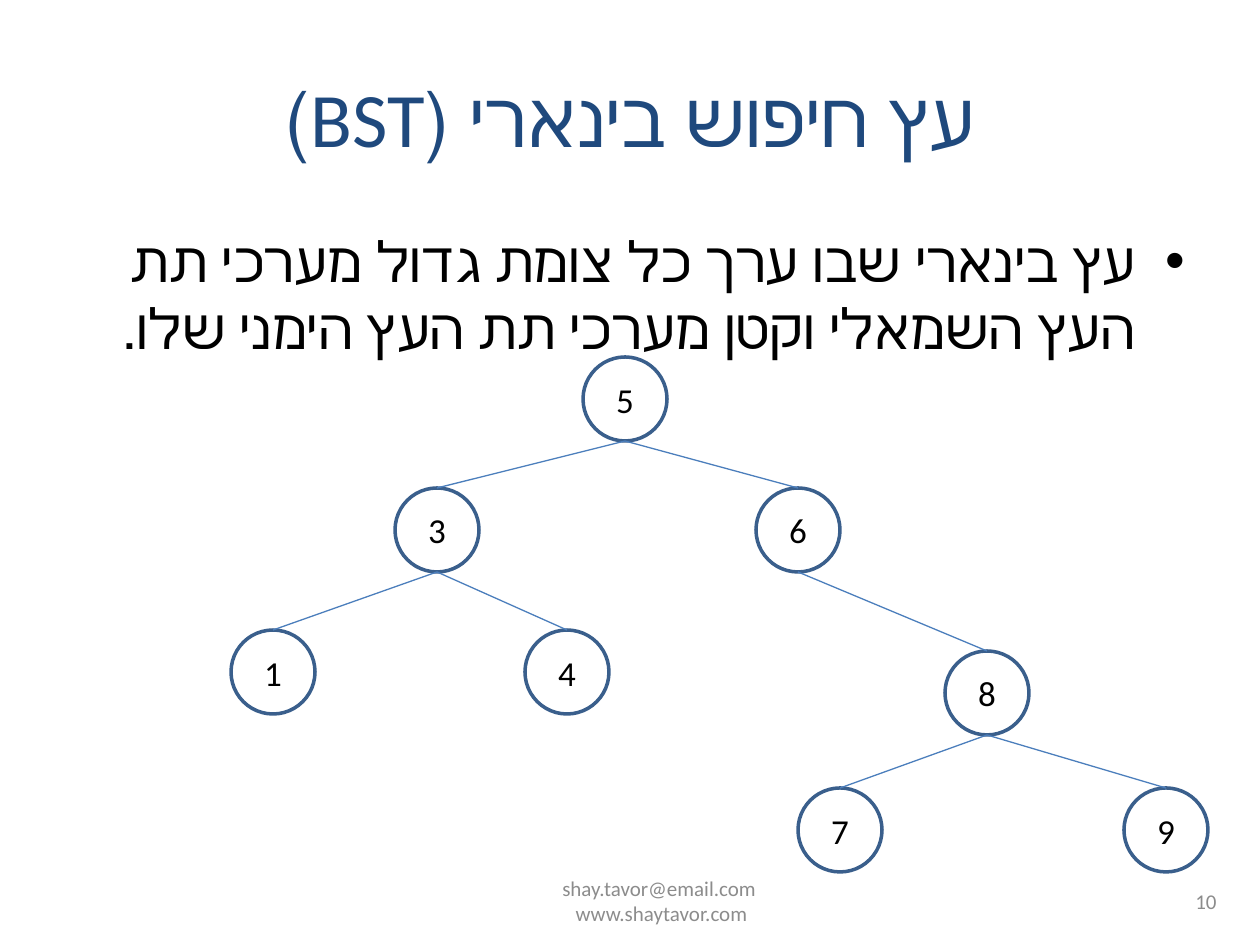
from lxml.etree import SubElement
from pptx import Presentation
from pptx.dml.color import RGBColor
from pptx.enum.shapes import MSO_CONNECTOR, MSO_SHAPE
from pptx.enum.text import MSO_ANCHOR, PP_ALIGN
from pptx.oxml.ns import qn
from pptx.util import Pt

PX = 914400 / 126  # EMU in one pixel
NODE_SIZE = 84
FONT = "Calibri"
NAVY = RGBColor(0x1F, 0x49, 0x7D)
BLACK = RGBColor(0x00, 0x00, 0x00)
GREY = RGBColor(0x8C, 0x8C, 0x8C)
NODE_BLUE = RGBColor(0x3A, 0x5F, 0x8C)
EDGE_BLUE = RGBColor(0x4B, 0x7E, 0xBC)

# Left and top of each tree node, by its value
NODES = {
    5: (583, 357),
    3: (395, 488), 6: (756, 488),
    1: (231, 630), 4: (525, 630), 8: (945, 651),
    7: (798, 788), 9: (1124, 788),
}
EDGES = [(5, 3), (5, 6), (3, 1), (3, 4), (6, 8), (8, 7), (8, 9)]


def px(*lengths):
    return [round(length * PX) for length in lengths]


def write(frame, lines, size, color, align, anchor=MSO_ANCHOR.MIDDLE):
    frame.word_wrap = True
    frame.vertical_anchor = anchor
    for number, line in enumerate(lines):
        paragraph = frame.add_paragraph() if number else frame.paragraphs[0]
        paragraph.alignment = align
        run = paragraph.add_run()
        run.text = line
        run.font.size = Pt(size)
        run.font.name = FONT
        run.font.color.rgb = color


def set_rtl(paragraph):
    properties = paragraph._p.get_or_add_pPr()
    properties.set("rtl", "1")
    return properties


def add_title(slide, text):
    title = slide.shapes.title
    title.left, title.top, title.width, title.height = px(63, 38, 1134, 158)
    write(title.text_frame, [text], 44, NAVY, PP_ALIGN.CENTER)
    set_rtl(title.text_frame.paragraphs[0])


def add_text(slide, box, lines, size, color, align, anchor=MSO_ANCHOR.MIDDLE):
    frame = slide.shapes.add_textbox(*px(*box)).text_frame
    write(frame, lines, size, color, align, anchor)
    return frame


def add_definition(slide, text):
    frame = add_text(slide, (63, 220, 1134, 168), [text], 32, BLACK,
                     PP_ALIGN.RIGHT, MSO_ANCHOR.TOP)
    properties = set_rtl(frame.paragraphs[0])
    indent = px(48)[0]
    properties.set("marL", str(indent))
    properties.set("indent", str(-indent))
    SubElement(properties, qn("a:buFont")).set("typeface", "Arial")
    SubElement(properties, qn("a:buChar")).set("char", "•")


def add_node(slide, value, left, top):
    node = slide.shapes.add_shape(
        MSO_SHAPE.OVAL, *px(left, top, NODE_SIZE, NODE_SIZE))
    node.shadow.inherit = False
    node.fill.background()
    node.line.color.rgb = NODE_BLUE
    node.line.width = Pt(2)
    write(node.text_frame, [str(value)], 20, BLACK, PP_ALIGN.CENTER)


def add_edge(slide, parent, child):
    (parent_left, parent_top), (child_left, child_top) = NODES[parent], NODES[child]
    radius = NODE_SIZE // 2
    edge = slide.shapes.add_connector(
        MSO_CONNECTOR.STRAIGHT,
        *px(parent_left + radius, parent_top + NODE_SIZE,
            child_left + radius, child_top))
    edge.line.color.rgb = EDGE_BLUE
    edge.line.width = Pt(0.75)
    SubElement(edge._element.spPr, qn("a:effectLst"))


def main():
    prs = Presentation()
    prs.slide_width, prs.slide_height = px(1260, 945)
    slide = prs.slides.add_slide(prs.slide_layouts[5])

    # Title and definition
    add_title(slide, "עץ חיפוש בינארי (BST)")
    add_definition(slide, "עץ בינארי שבו ערך כל צומת גדול מערכי תת "
                          "העץ השמאלי וקטן מערכי תת העץ הימני שלו.")

    # Footer and slide number
    add_text(slide, (462, 876, 399, 50),
             ["shay.tavor@email.com ", "www.shaytavor.com"],
             12, GREY, PP_ALIGN.CENTER)
    add_text(slide, (935, 876, 294, 50), ["10"], 12, GREY, PP_ALIGN.RIGHT)

    # Search tree
    for value, (left, top) in NODES.items():
        add_node(slide, value, left, top)
    for parent, child in EDGES:
        add_edge(slide, parent, child)

    prs.save("out.pptx")


if __name__ == "__main__":
    main()
